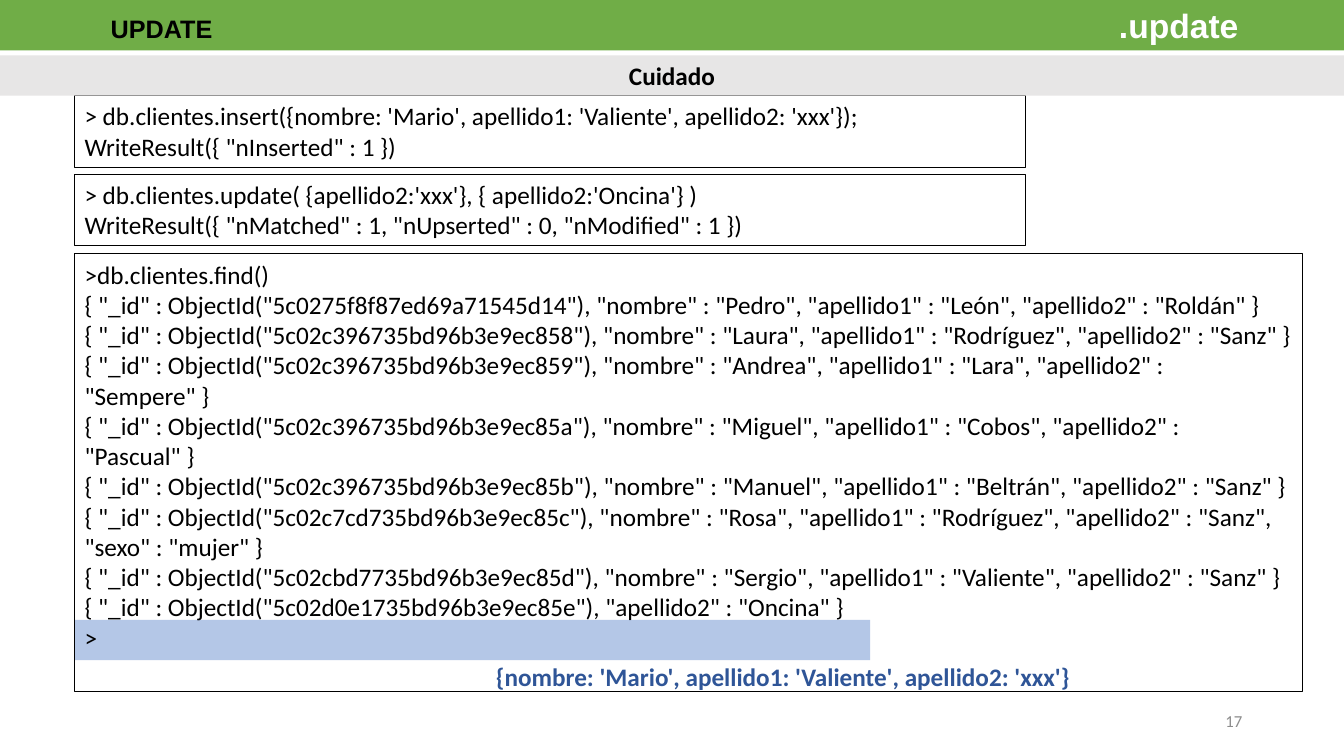
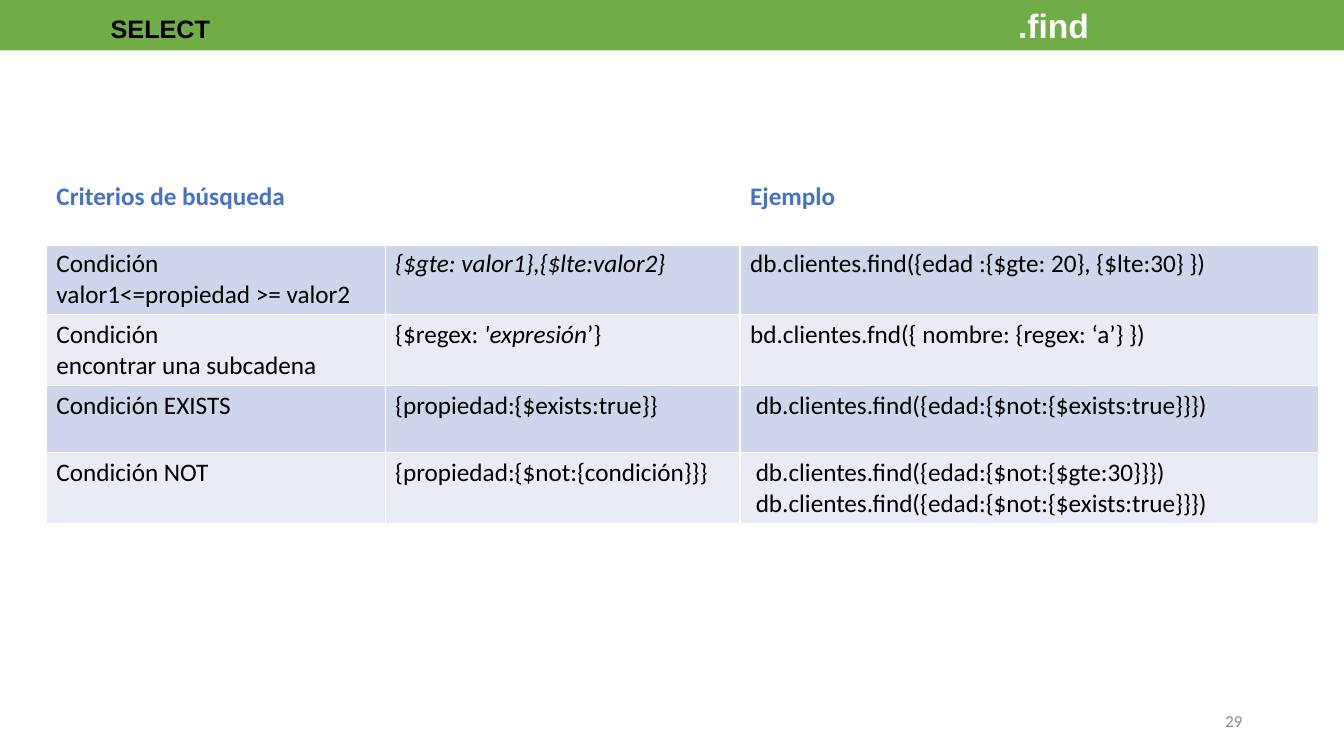
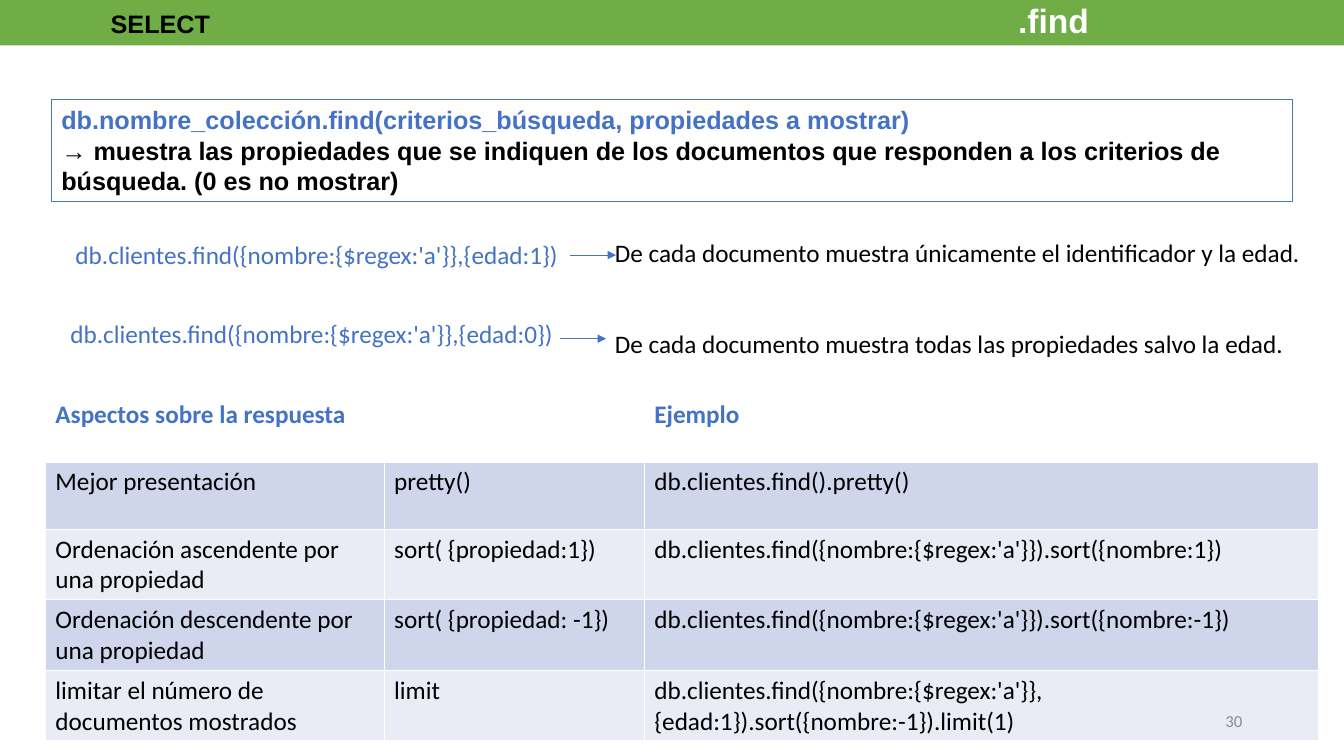
from lxml.etree import SubElement
from pptx import Presentation
from pptx.dml.color import RGBColor
from pptx.enum.shapes import MSO_CONNECTOR as Conn, MSO_SHAPE as Shape
from pptx.enum.text import MSO_ANCHOR as Anchor, PP_ALIGN as Align
from pptx.oxml.ns import qn
from pptx.util import Inches, Pt

HUES = {
    "green": "70AD47", "grey": "E7E6E6", "mark": "B4C7E7", "blue": "4472C4",
    "navy": "2F5597", "black": "000000", "white": "FFFFFF", "page": "8C8C8C",
    "odd": "CFD5EA", "even": "E9EBF5",
}
WIDE, HIGH = 13.33, 7.5
ROW = 0.67
LINE = 0.4

INSERT = [
    "> db.clientes.insert({nombre: 'Mario', apellido1: 'Valiente', apellido2: 'xxx'});",
    'WriteResult({ "nInserted" : 1 })',
]
UPDATE = [
    "> db.clientes.update( {apellido2:'xxx'}, { apellido2:'Oncina'} )",
    'WriteResult({ "nMatched" : 1, "nUpserted" : 0, "nModified" : 1 })',
]
FIND = [
    ">db.clientes.find()",
    '{ "_id" : ObjectId("5c0275f8f87ed69a71545d14"), "nombre" : "Pedro", "apellido1" : "León", "apellido2" : "Roldán" }',
    '{ "_id" : ObjectId("5c02c396735bd96b3e9ec858"), "nombre" : "Laura", "apellido1" : "Rodríguez", "apellido2" : "Sanz" }',
    '{ "_id" : ObjectId("5c02c396735bd96b3e9ec859"), "nombre" : "Andrea", "apellido1" : "Lara", "apellido2" : "Sempere" }',
    '{ "_id" : ObjectId("5c02c396735bd96b3e9ec85a"), "nombre" : "Miguel", "apellido1" : "Cobos", "apellido2" : "Pascual" }',
    '{ "_id" : ObjectId("5c02c396735bd96b3e9ec85b"), "nombre" : "Manuel", "apellido1" : "Beltrán", "apellido2" : "Sanz" }',
    '{ "_id" : ObjectId("5c02c7cd735bd96b3e9ec85c"), "nombre" : "Rosa", "apellido1" : "Rodríguez", "apellido2" : "Sanz", "sexo" : "mujer" }',
    '{ "_id" : ObjectId("5c02cbd7735bd96b3e9ec85d"), "nombre" : "Sergio", "apellido1" : "Valiente", "apellido2" : "Sanz" }',
    '{ "_id" : ObjectId("5c02d0e1735bd96b3e9ec85e"), "apellido2" : "Oncina" }',
    ">",
]
LOST = "{nombre: 'Mario', apellido1: 'Valiente', apellido2: 'xxx'}"

# A cell is a list of lines; a line is text or a list of (text, italic) parts.
SEARCH = [
    [["Criterios de búsqueda"], [], ["Ejemplo"]],
    [["Condición", "valor1<=propiedad >= valor2"],
     [[("{$gte: valor1},{$lte:valor2}", True)]],
     ["db.clientes.find({edad :{$gte: 20}, {$lte:30} })"]],
    [["Condición", "encontrar una subcadena"],
     [[("{$regex: ", False), ("'expresión", True), ("’}", False)]],
     ["bd.clientes.fnd({ nombre: {regex: ‘a’} })"]],
    [["Condición EXISTS"], ["{propiedad:{$exists:true}}"],
     [" db.clientes.find({edad:{$not:{$exists:true}}})"]],
    [["Condición NOT"], ["{propiedad:{$not:{condición}}}"],
     [" db.clientes.find({edad:{$not:{$gte:30}}})",
      " db.clientes.find({edad:{$not:{$exists:true}}})"]],
]
REPLY = [
    [["Aspectos sobre la respuesta"], [], ["Ejemplo"]],
    [["Mejor presentación"], ["pretty()"], ["db.clientes.find().pretty()"]],
    [["Ordenación ascendente por una propiedad"], ["sort( {propiedad:1})"],
     ["db.clientes.find({nombre:{$regex:'a'}}).sort({nombre:1})"]],
    [["Ordenación descendente por una propiedad"], ["sort( {propiedad: -1})"],
     ["db.clientes.find({nombre:{$regex:'a'}}).sort({nombre:-1})"]],
    [["limitar el número de documentos mostrados"], ["limit"],
     ["db.clientes.find({nombre:{$regex:'a'}},{edad:1}).sort({nombre:-1}).limit(1)"]],
]
SYNTAX = "db.nombre_colección.find(criterios_búsqueda, propiedades a mostrar) "
SENSE = ("→ muestra las propiedades que se indiquen de los documentos que "
         "responden a los criterios de búsqueda. (0 es no mostrar)")
# Query and its place, meaning and its place and width, start of the arrow.
CASES = [
    ("db.clientes.find({nombre:{$regex:'a'}},{edad:1})", 0.65, 2.33,
     "De cada documento muestra únicamente el identificador y la edad.",
     2.31, 7.08, 5.65, 2.53),
    ("db.clientes.find({nombre:{$regex:'a'}},{edad:0})", 0.6, 3.11,
     "De cada documento muestra todas las propiedades salvo la edad.",
     3.21, 6.85, 5.55, 3.36),
]


def rgb(hue):
    """Return the colour of that name."""
    return RGBColor.from_string(HUES[hue])


def style(font, hue="black", size=18, bold=False, face="Calibri"):
    """Set the face, size, weight and colour of a font."""
    font.name, font.size, font.bold = face, Pt(size), bold
    font.color.rgb = rgb(hue)


def write(frame, lines, align=Align.LEFT, **look):
    """Fill a text frame with one paragraph per line."""
    for i, line in enumerate(lines):
        para = frame.add_paragraph() if i else frame.paragraphs[0]
        para.alignment = align
        style(para.font, **look)
        for text, slant in [(line, False)] if isinstance(line, str) else line:
            run = para.add_run()
            run.text = text
            if slant:
                run.font.italic = True


def box(slide, x, y, w, h, lines=(), fill=None, edge=None, **look):
    """Add a rectangle with text set from its top."""
    rect = slide.shapes.add_shape(
        Shape.RECTANGLE, Inches(x), Inches(y), Inches(w), Inches(h))
    rect.shadow.inherit = False
    if fill:
        rect.fill.solid()
        rect.fill.fore_color.rgb = rgb(fill)
    else:
        rect.fill.background()
    if edge:
        rect.line.color.rgb = rgb(edge)
        rect.line.width = Pt(0.75)
    else:
        rect.line.fill.background()
    rect.text_frame.vertical_anchor = Anchor.TOP
    write(rect.text_frame, lines, **look)
    return rect


def label(slide, x, y, w, text, wrap=True, **look):
    """Add a one-line text box."""
    frame = slide.shapes.add_textbox(
        Inches(x), Inches(y), Inches(w), Inches(LINE)).text_frame
    frame.word_wrap = wrap
    write(frame, [text], **look)
    return frame


def arrow(slide, x, y, w=0.46):
    """Add a thin arrow that points right."""
    line = slide.shapes.add_connector(
        Conn.STRAIGHT, Inches(x), Inches(y), Inches(x + w), Inches(y))
    line.line.color.rgb = rgb("blue")
    line.line.width = Pt(0.5)
    SubElement(line.line._get_or_add_ln(), qn("a:tailEnd"), type="triangle")
    SubElement(line._element.spPr, qn("a:effectLst"))


def rule(cell, base):
    """Draw white borders round a cell, the lower one base points wide."""
    props = cell._tc.get_or_add_tcPr()
    for side, width in (("L", 1), ("R", 1), ("T", 1), ("B", base)):
        line = SubElement(props, qn("a:ln" + side), w=str(Pt(width)))
        paint = SubElement(line, qn("a:solidFill"))
        SubElement(paint, qn("a:srgbClr"), val=HUES["white"])


def grid(slide, x, y, cols, rows):
    """Add a banded table with a blue heading row."""
    table = slide.shapes.add_table(
        len(rows), len(cols), Inches(x), Inches(y),
        Inches(sum(cols)), Inches(ROW * len(rows))).table
    table.horz_banding = False
    for col, width in zip(table.columns, cols):
        col.width = Inches(width)
    for r, row in enumerate(rows):
        table.rows[r].height = Inches(ROW)
        fill = ("odd" if r % 2 else "even") if r else "white"
        for c, lines in enumerate(row):
            cell = table.cell(r, c)
            rule(cell, 1 if r else 3)
            cell.fill.solid()
            cell.fill.fore_color.rgb = rgb(fill)
            write(cell.text_frame, lines,
                  hue="black" if r else "blue", bold=not r)


def finish(slide, topic, call, stop, page, top=0):
    """Add the green title band and the page number."""
    band = box(slide, 0, top, WIDE, 0.5, [f"\t{topic}\t"], fill="green",
               bold=True, face="Arial")
    para = band.text_frame.paragraphs[0]
    tabs = SubElement(para._p.get_or_add_pPr(), qn("a:tabLst"))
    for pos in (1, stop):
        SubElement(tabs, qn("a:tab"), pos=str(Inches(pos)), algn="l")
    # The tab list belongs before the default run properties.
    tabs.getparent().insert(0, tabs)
    run = para.add_run()
    run.text = call
    run.font.size = Pt(24)
    run.font.color.rgb = rgb("white")
    foot = label(slide, 9.42, 6.95, 3, str(page), align=Align.RIGHT,
                 hue="page", size=12)
    foot.vertical_anchor = Anchor.MIDDLE


def warn(slide):
    """Show how an update replaces a whole document."""
    left = 0.74
    box(slide, left, 6.15, 7.89, LINE, fill="mark")
    box(slide, left, 2.52, 12.18, 4.34, FIND, edge="black")
    for y, lines in ((0.95, INSERT), (1.73, UPDATE)):
        box(slide, left, y, 9.43, 0.71, lines, edge="black")
    box(slide, 0, 0.55, WIDE, LINE, ["Cuidado"], fill="grey",
        align=Align.CENTER, bold=True)
    label(slide, 4.82, 6.51, 7.89, LOST, hue="navy", bold=True)
    finish(slide, "UPDATE", ".update", 11, 17)


def search(slide):
    """Show the search criteria."""
    grid(slide, 0.46, 1.75, (3.36, 3.52, 5.74), SEARCH)
    finish(slide, "SELECT", ".find", 10, 29)


def reply(slide):
    """Show which properties a query returns, and in what form."""
    grid(slide, 0.45, 3.91, (3.36, 2.58, 6.69), REPLY)
    rect = box(slide, 0.51, 0.99, 12.31, 1.01, [SYNTAX, SENSE], edge="blue",
               bold=True, face="Arial")
    rect.text_frame.paragraphs[0].font.color.rgb = rgb("blue")
    for query, x, y, sense, level, width, start, mid in CASES:
        label(slide, x, y, 5.05, query, wrap=False, hue="blue")
        label(slide, 6, level, width, sense, wrap=False)
        arrow(slide, start, mid)
    finish(slide, "SELECT", ".find", 10, 30, top=-0.05)


deck = Presentation()
deck.slide_width, deck.slide_height = Inches(WIDE), Inches(HIGH)
for build in (warn, search, reply):
    build(deck.slides.add_slide(deck.slide_layouts[6]))
deck.save("out.pptx")
